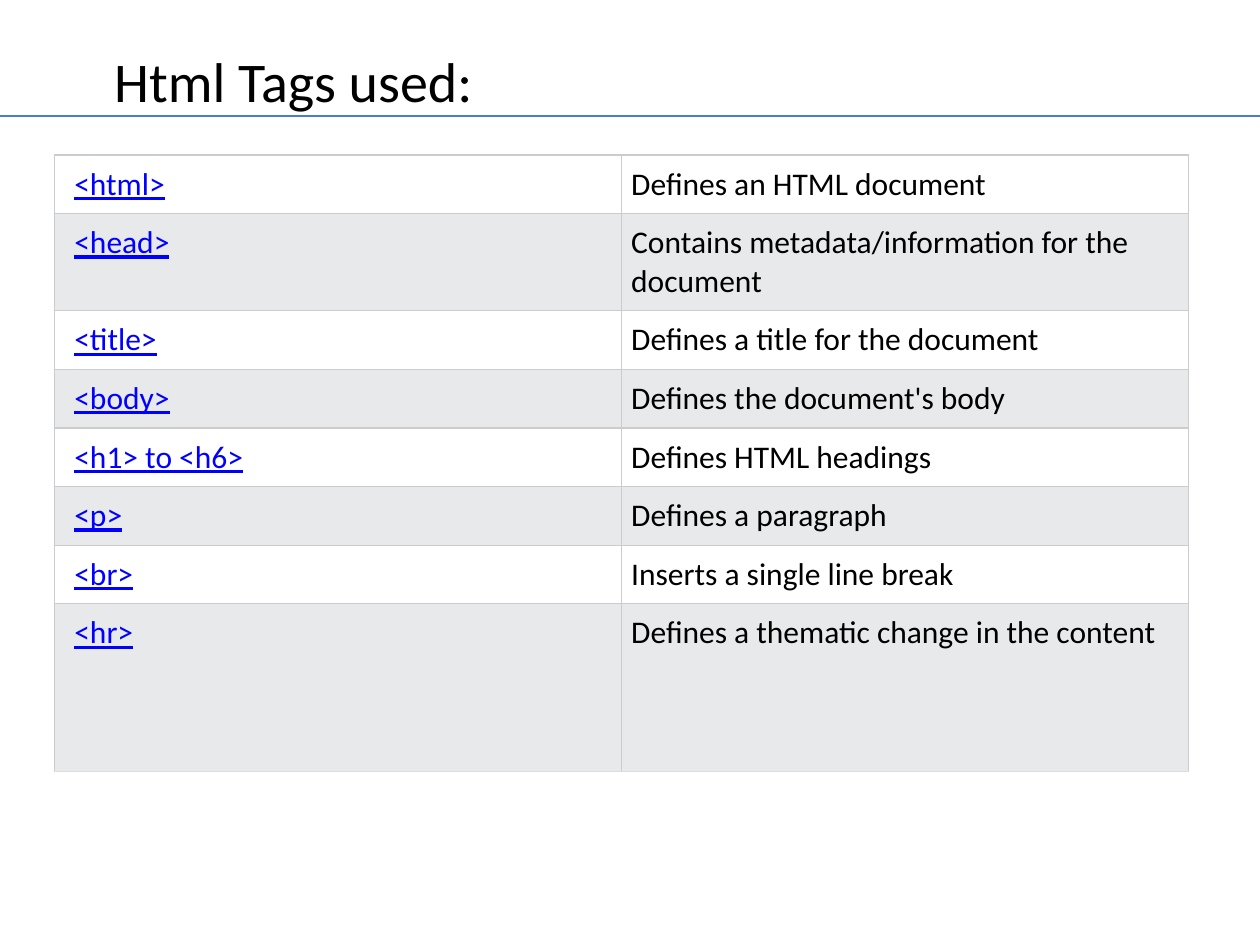
from dataclasses import dataclass

from lxml.etree import SubElement
from pptx import Presentation
from pptx.dml.color import RGBColor as Color
from pptx.enum.shapes import MSO_CONNECTOR as Connector
from pptx.enum.text import MSO_ANCHOR as Anchor, PP_ALIGN as Align
from pptx.oxml.ns import qn
from pptx.util import Inches, Pt


@dataclass(frozen=True)
class Theme:
    font: str = "Calibri"
    title_size: int = 32
    body_size: int = 18
    text: str = "000000"
    link: str = "0000FF"
    rule: str = "4B7EBC"
    border: str = "CCCCCC"
    last_border: str = "DDDDDD"
    bands: tuple = ("FFFFFF", "E7E9EB")
    line_width: float = 0.75


THEME = Theme()
TITLE_BOX = (-2.17, 0.2, 9, 0.87)
TABLE_BOX = (0.43, 1.23, 9, 4.88)
RULE_TOP = 0.92
ROW_HEIGHT = 0.46
TALL_ROWS = {1: 0.76, 7: 1.33}
PADDING = 0.08
TAGS = [
    ("<html>", "Defines an HTML document"),
    ("<head>", "Contains metadata/information for the document"),
    ("<title>", "Defines a title for the document"),
    ("<body>", "Defines the document's body"),
    ("<h1> to <h6>", "Defines HTML headings"),
    ("<p>", "Defines a paragraph"),
    ("<br>", "Inserts a single line break"),
    ("<hr>", "Defines a thematic change in the content"),
]


def set_attributes(target, values):
    for name, value in values.items():
        setattr(target, name, value)


def format_font(font, size, color, underline=False):
    set_attributes(font, {"name": THEME.font, "size": Pt(size), "underline": underline})
    font.color.rgb = Color.from_string(color)


def add_title(slide, box, text):
    title = slide.shapes.title
    set_attributes(title, dict(zip(("left", "top", "width", "height"), map(Inches, box))))
    title.text_frame.text = text
    set_attributes(title.text_frame, {"vertical_anchor": Anchor.MIDDLE, "word_wrap": True})
    paragraph = title.text_frame.paragraphs[0]
    paragraph.alignment = Align.CENTER
    format_font(paragraph.runs[0].font, THEME.title_size, THEME.text)


def add_rule(slide, top, width):
    rule = slide.shapes.add_connector(Connector.STRAIGHT, 0, Inches(top), width, Inches(top))
    rule.line.color.rgb = Color.from_string(THEME.rule)
    rule.line.width = Pt(THEME.line_width)
    SubElement(rule._element.spPr, qn("a:effectLst"))


def set_borders(cell, bottom_color):
    properties = cell._tc.get_or_add_tcPr()
    colors = {"L": THEME.border, "R": THEME.border, "T": THEME.border, "B": bottom_color}
    for side, color in colors.items():
        line = SubElement(properties, qn(f"a:ln{side}"), w=str(Pt(THEME.line_width)))
        SubElement(SubElement(line, qn("a:solidFill")), qn("a:srgbClr"), val=color)


def format_cell(cell, text, is_tag, band, bottom_color):
    set_borders(cell, bottom_color)
    cell.fill.solid()
    cell.fill.fore_color.rgb = Color.from_string(band)
    set_attributes(cell, {
        "text": text,
        "vertical_anchor": Anchor.TOP,
        "margin_left": Inches(PADDING * (2 if is_tag else 1)),
        "margin_right": Inches(PADDING),
        "margin_top": Inches(PADDING),
        "margin_bottom": Inches(PADDING),
    })
    color = THEME.link if is_tag else THEME.text
    format_font(cell.text_frame.paragraphs[0].runs[0].font, THEME.body_size, color, is_tag)


def add_tag_table(slide, box, entries):
    columns = len(entries[0])
    table = slide.shapes.add_table(len(entries), columns, *map(Inches, box)).table
    set_attributes(table, {"first_row": False, "horz_banding": False})
    for column in table.columns:
        column.width = Inches(box[2] / columns)
    for index, entry in enumerate(entries):
        table.rows[index].height = Inches(TALL_ROWS.get(index, ROW_HEIGHT))
        bottom = THEME.last_border if index == len(entries) - 1 else THEME.border
        for column, text in enumerate(entry):
            band = THEME.bands[index % 2]
            format_cell(table.cell(index, column), text, column == 0, band, bottom)


def main():
    presentation = Presentation()
    set_attributes(presentation, {"slide_width": Inches(10), "slide_height": Inches(7.5)})
    slide = presentation.slides.add_slide(presentation.slide_layouts[5])
    add_title(slide, TITLE_BOX, "Html Tags used:")
    add_tag_table(slide, TABLE_BOX, TAGS)
    add_rule(slide, RULE_TOP, presentation.slide_width)
    presentation.save("out.pptx")


if __name__ == "__main__":
    main()
